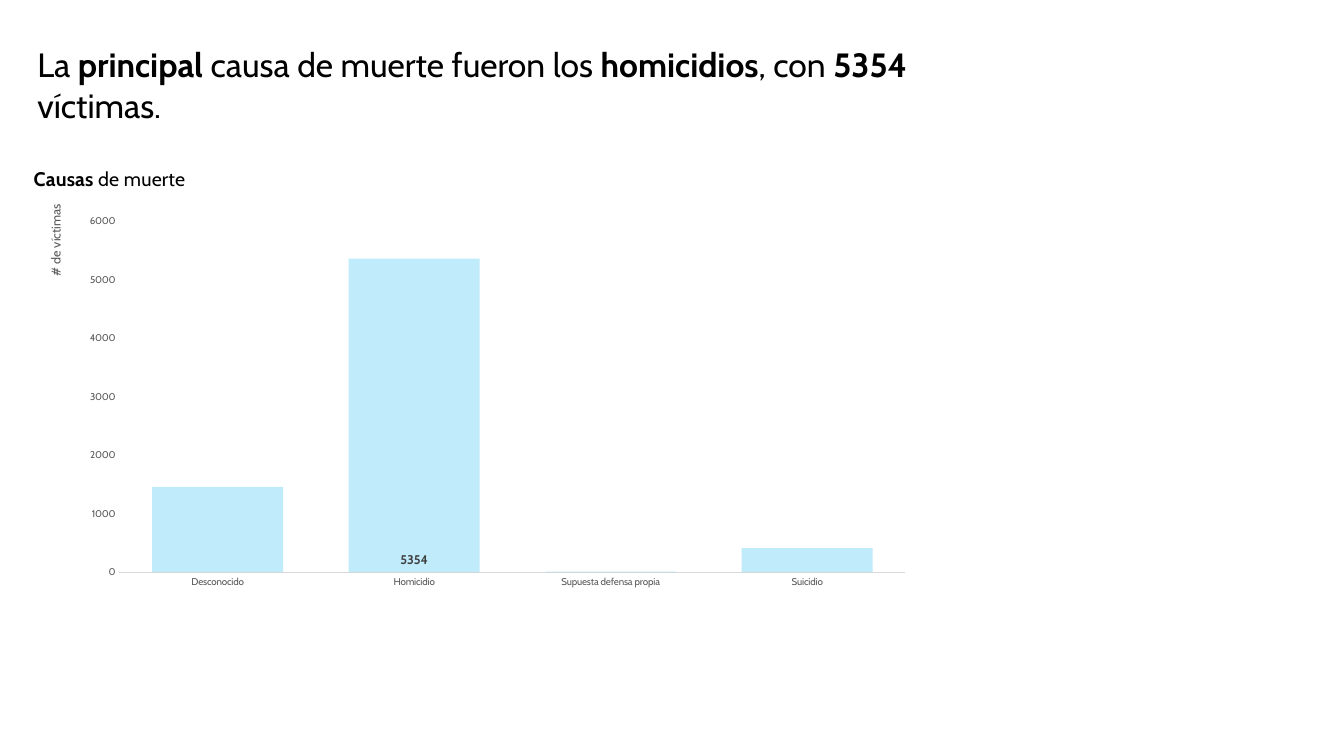
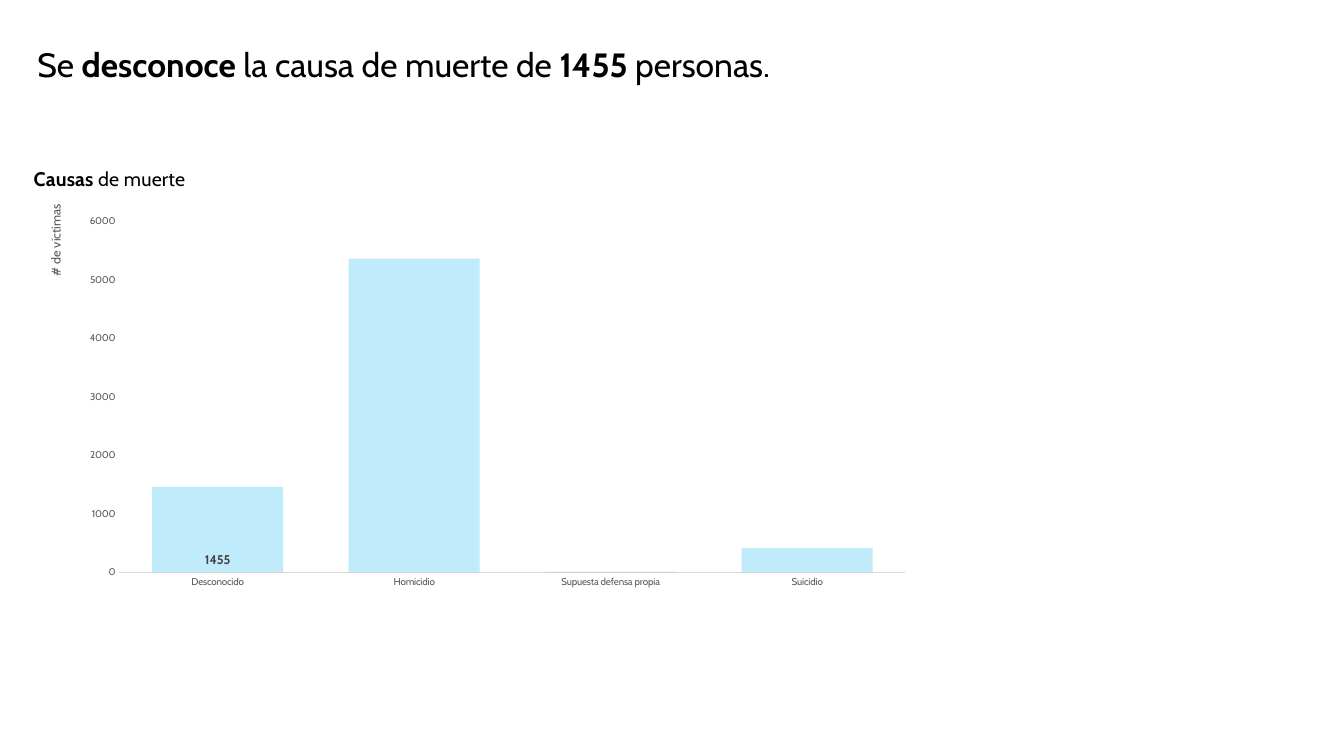
from lxml import etree
from pptx import Presentation
from pptx import util as u
from pptx.chart.data import CategoryChartData
from pptx.dml.color import RGBColor
from pptx.enum import chart as ch, text
from pptx.oxml.ns import qn

FONT = "Cabin"
BLACK, GREY, DARK, RULE, BLUE = "000000", "595959", "404040", "D9D9D9", "00B0F0"
LEFT, WIDTH = 0.27, 8.89
CHART_BOX = (0.26, 1.57, WIDTH, 4.35)
LINE_HEIGHT = 0.41
CAUSES = {"Desconocido": 1455, "Homicidio": 5354,
          "Supuesta defensa propia": 8, "Suicidio": 410}


def rgb(value):
    return RGBColor.from_string(value)


def style(font, size, color, bold=None):
    font.name, font.size, font.bold = FONT, u.Pt(size), bold
    font.color.rgb = rgb(color)


def write(tf, parts, size, color):
    """Fill the first paragraph with parts; every second part is bold."""
    p = tf.paragraphs[0]
    style(p.font, size, color, False)
    for i, part in enumerate(parts):
        r = p.add_run()
        r.text = part
        style(r.font, size, color, i % 2 == 1)


def place(element, index, **shares):
    """Give a chart part a manual layout in shares of the chart's size."""
    for old in element.findall(qn("c:layout")):
        element.remove(old)
    layout = etree.Element(qn("c:layout"))
    manual = etree.SubElement(layout, qn("c:manualLayout"))
    if "w" in shares:
        etree.SubElement(manual, qn("c:layoutTarget")).set("val", "inner")
    for name in ("xMode", "yMode"):
        etree.SubElement(manual, qn(f"c:{name}")).set("val", "edge")
    for name, share in shares.items():
        etree.SubElement(manual, qn(f"c:{name}")).set("val", str(share))
    element.insert(index, layout)


def add_headline(slide, parts, lines):
    sp = slide.shapes.title
    sp.left, sp.top = u.Inches(LEFT), u.Inches(0.39)
    sp.width, sp.height = u.Inches(WIDTH), u.Inches(0.1 + LINE_HEIGHT * lines)
    tf = sp.text_frame
    tf.word_wrap = True
    tf.auto_size = text.MSO_AUTO_SIZE.SHAPE_TO_FIT_TEXT
    tf.vertical_anchor = text.MSO_ANCHOR.TOP
    tf.paragraphs[0].alignment = text.PP_ALIGN.LEFT
    write(tf, parts, 24, BLACK)


def format_axes(chart):
    for axis in (chart.category_axis, chart.value_axis):
        axis.has_major_gridlines = False
        axis.major_tick_mark = axis.minor_tick_mark = ch.XL_TICK_MARK.NONE
        style(axis.tick_labels.font, 7, GREY)
    line = chart.category_axis.format.line
    line.color.rgb, line.width = rgb(RULE), u.Pt(0.75)
    axis = chart.value_axis
    axis.format.line.fill.background()
    axis.minimum_scale, axis.maximum_scale, axis.major_unit = 0, 6000, 1000
    title = axis.axis_title
    write(title.text_frame, ["# de víctimas"], 9, GREY)
    body = title._element.find(".//" + qn("a:bodyPr"))
    body.set("rot", "-5400000")
    body.set("vert", "horz")
    place(title._element, 1, x=0.02, y=0.1)


def format_columns(chart, labelled):
    plot = chart.plots[0]
    plot.gap_width, plot.overlap, plot.vary_by_categories = 50, -27, False
    series = plot.series[0]
    fill = series.format.fill
    fill.solid()
    fill.fore_color.rgb = rgb(BLUE)
    color = series._element.find(".//" + qn("a:srgbClr"))
    etree.SubElement(color, qn("a:alpha")).set("val", "25000")
    series.data_labels.show_value = False
    label = series.points[labelled].data_label
    style(label.font, 9, DARK, True)
    label.position = ch.XL_LABEL_POSITION.INSIDE_BASE


def add_causes_chart(slide, box, labelled):
    data = CategoryChartData()
    data.categories = list(CAUSES)
    data.add_series("Series 1", list(CAUSES.values()))
    chart = slide.shapes.add_chart(ch.XL_CHART_TYPE.COLUMN_CLUSTERED,
                                   *map(u.Inches, box), data).chart
    style(chart.font, 10, BLACK)
    chart.has_legend = False
    chart.has_title = True
    title = chart.chart_title
    write(title.text_frame, ["", "Causas", " de muerte"], 14, BLACK)
    place(title._element, 1, x=0.005, y=0.01)
    plot_area = chart._chartSpace.find(".//" + qn("c:plotArea"))
    place(plot_area, 0, x=0.104, y=0.143, w=0.877, h=0.801)
    format_axes(chart)
    format_columns(chart, labelled)


def add_cause_slide(prs, headline, lines, cause):
    slide = prs.slides.add_slide(prs.slide_layouts[5])
    add_headline(slide, headline, lines)
    add_causes_chart(slide, CHART_BOX, list(CAUSES).index(cause))


def main():
    prs = Presentation()
    prs.slide_width, prs.slide_height = u.Inches(13.33), u.Inches(7.5)
    add_cause_slide(prs, ["La ", "principal", " causa de muerte fueron los ",
                          "homicidios", ", con ", "5354", " víctimas."],
                    2, "Homicidio")
    add_cause_slide(prs, ["Se ", "desconoce", " la causa de muerte de ",
                          "1455", " personas."], 1, "Desconocido")
    prs.save("out.pptx")


if __name__ == "__main__":
    main()
